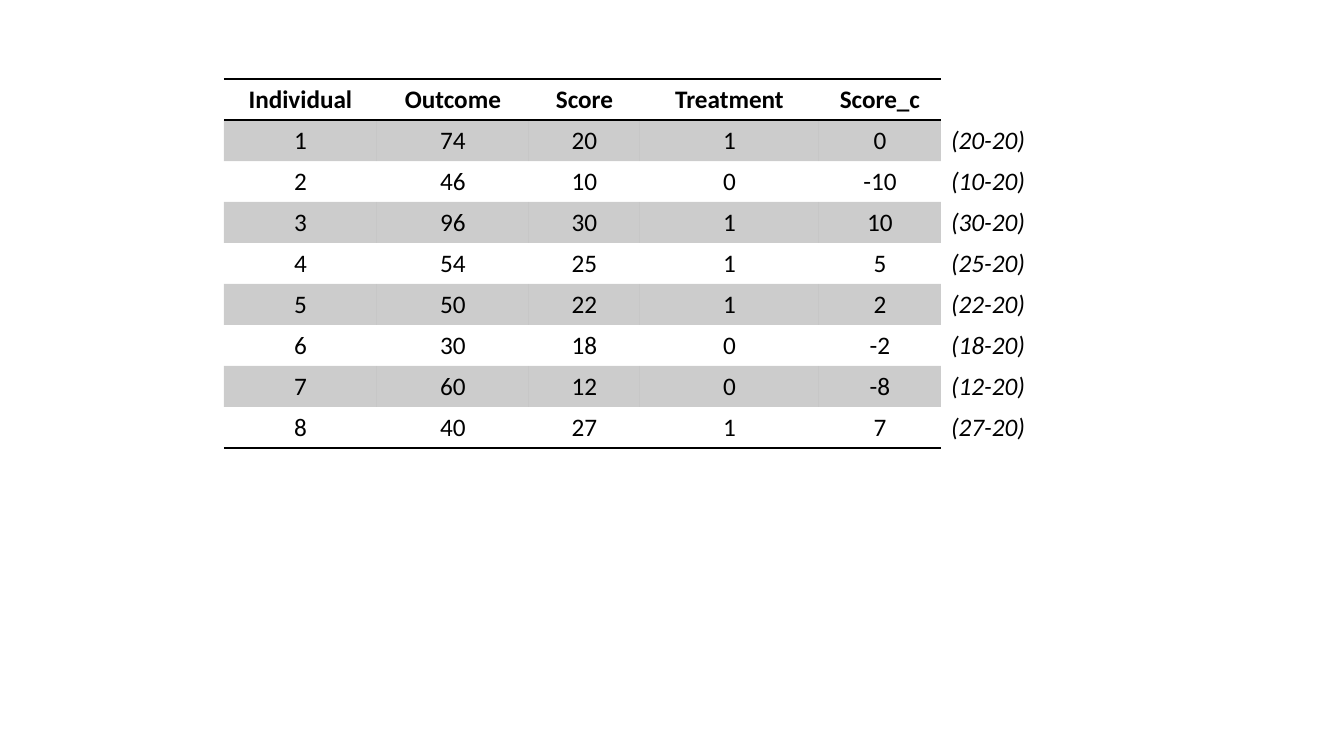
from lxml import etree
from pptx import Presentation
from pptx.dml.color import RGBColor
from pptx.enum.text import MSO_ANCHOR, PP_ALIGN
from pptx.oxml.ns import qn
from pptx.util import Pt

PX = 914400 / 100.8
BLACK = RGBColor(0, 0, 0)
CENTER, LEFT = PP_ALIGN.CENTER, PP_ALIGN.LEFT
MIDDLE, TOP = MSO_ANCHOR.MIDDLE, MSO_ANCHOR.TOP
NO_STYLE = "{2D5ABB26-0587-4C30-8999-92F81FD0307C}"
MEAN_SCORE = 20
ROW_HEIGHT = 41
COL_WIDTHS = [153, 152, 111, 179, 122, 145]


def px(n):
    return round(n * PX)


def add_border(cell, side):
    """Draw a 1 pt black rule; call before the cell gets its fill."""
    ln = etree.SubElement(cell._tc.get_or_add_tcPr(), qn("a:" + side), w=str(Pt(1)))
    fill = etree.SubElement(ln, qn("a:solidFill"))
    etree.SubElement(fill, qn("a:srgbClr"), val=str(BLACK))


# Data: outcome, score, treatment of each individual
individuals = [(74, 20, 1), (46, 10, 0), (96, 30, 1), (54, 25, 1),
               (50, 22, 1), (30, 18, 0), (60, 12, 0), (40, 27, 1)]
rows = [["Individual", "Outcome", "Score", "Treatment", "Score_c", ""]]
for number, (outcome, score, treatment) in enumerate(individuals, 1):
    rows.append([number, outcome, score, treatment, score - MEAN_SCORE,
                 f"({score}-{MEAN_SCORE})"])
last_row, note_col = len(rows) - 1, len(COL_WIDTHS) - 1

# Slide
prs = Presentation()
prs.slide_width, prs.slide_height = px(1344), px(756)
s = prs.slides.add_slide(prs.slide_layouts[6])

# Table frame
frame = s.shapes.add_table(len(rows), len(COL_WIDTHS), px(224), px(79),
                           px(sum(COL_WIDTHS)), px(ROW_HEIGHT * len(rows)))
table = frame.table
table.first_row = table.horz_banding = False
table._tbl.tblPr.find(qn("a:tableStyleId")).text = NO_STYLE
for column, width in zip(table.columns, COL_WIDTHS):
    column.width = px(width)
for row in table.rows:
    row.height = px(ROW_HEIGHT)

# Cells: ruled header, shaded odd rows, unshaded notes on the right
for i, values in enumerate(rows):
    for j, value in enumerate(values):
        cell = table.cell(i, j)
        header, note = i == 0, j == note_col
        cell.vertical_anchor = MIDDLE if header else TOP
        if header and not note:
            add_border(cell, "lnT")
        if i in (0, last_row) and not note:
            add_border(cell, "lnB")
        if i % 2 and not note:
            cell.fill.solid()
            cell.fill.fore_color.rgb = BLACK
            color = cell._tc.tcPr.find(qn("a:solidFill"))[0]
            etree.SubElement(color, qn("a:alpha"), val="20000")
        else:
            cell.fill.background()
        p = cell.text_frame.paragraphs[0]
        p.alignment = LEFT if note else CENTER
        if value == "":
            continue
        r = p.add_run()
        r.text = str(value)
        formats = {"name": "Calibri", "size": Pt(18), "bold": header, "italic": note}
        for key, setting in formats.items():
            setattr(r.font, key, setting)
        r.font.color.rgb = BLACK

prs.save("out.pptx")
